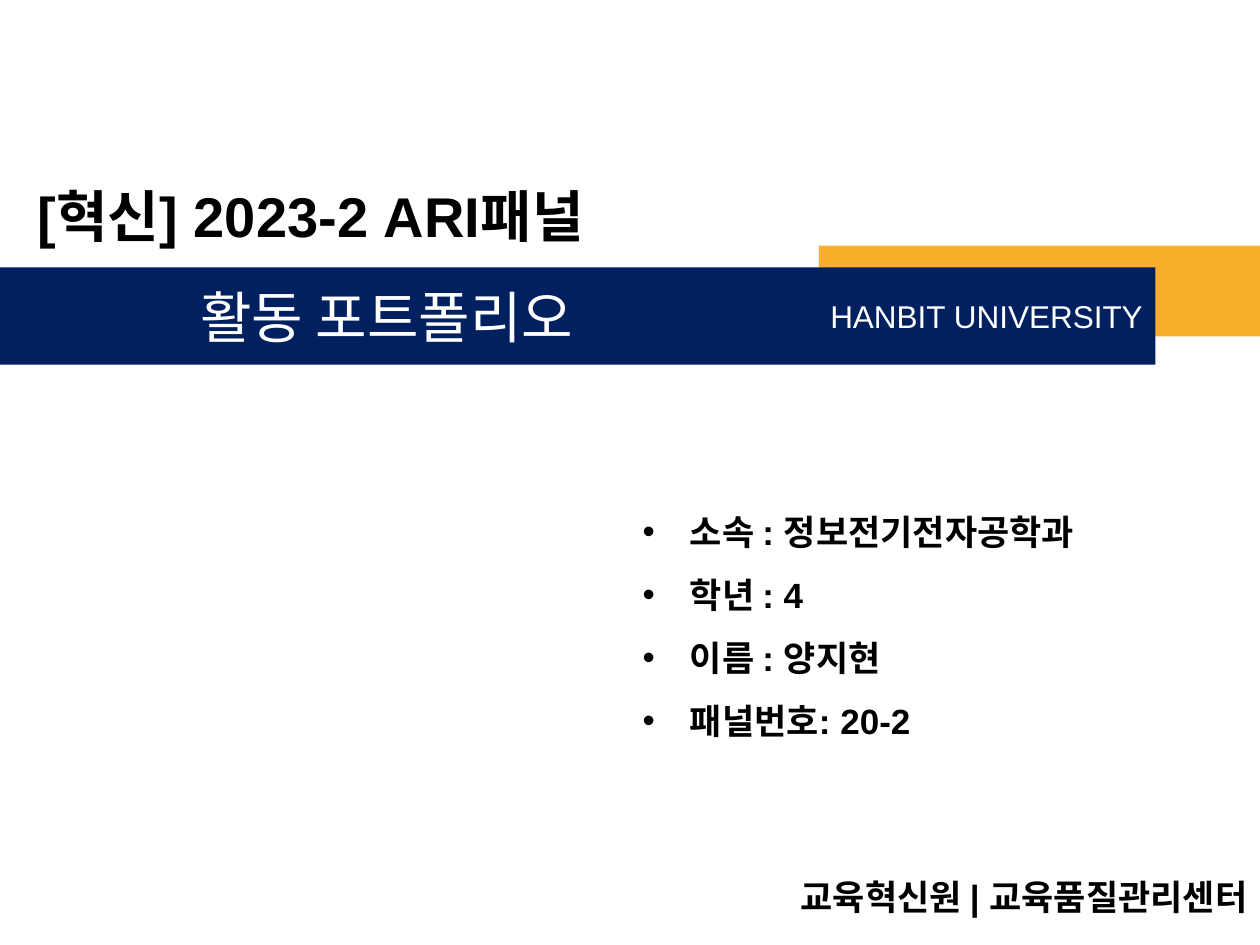
from dataclasses import dataclass
from pptx import Presentation
from pptx.dml.color import RGBColor
from pptx.enum.shapes import MSO_SHAPE
from pptx.enum.text import MSO_ANCHOR, MSO_AUTO_SIZE, PP_ALIGN
from pptx.util import Inches, Pt

HEAD = "[혁신] 2023-2 ARI패널"
NAME = "활동 포트폴리오"
SCHOOL = "HANBIT UNIVERSITY"
FACTS = [
    ("소속 : ", "정보전기전자공학과"),
    ("학년 : ", "4"),
    ("이름 : ", "양지현"),
    ("패널번호: ", "20-2"),
]
OFFICE = ["교육혁신원", " | ", "교육품질관리센터"]

WIDE, HIGH = 10, 7.5


@dataclass(frozen=True)
class Theme:
    font: str = "Arial"
    navy: str = "002060"
    gold: str = "F9AF2B"
    black: str = "000000"
    white: str = "FFFFFF"
    large: int = 32
    mid: int = 20
    small: int = 18


look = Theme()
AREAS = {
    "head": (0.02, 0.185, 0.622, 0.085),
    "gold": (0.65, 0.26, 0.35, 0.096),
    "band": (0, 0.283, 0.917, 0.103),
    "name": (0.149, 0.292, 0.323, 0.085),
    "facts": (0.5, 0.511, 0.477, 0.283),
    "office": (0, 0.92, 1, 0.058),
}


def area(key):
    return [Inches(part * side) for part, side in zip(AREAS[key], (WIDE, HIGH) * 2)]


def place(shape, key):
    shape.left, shape.top, shape.width, shape.height = area(key)


def write(shape, lines, size, color, bold=False, align=PP_ALIGN.LEFT,
          anchor=MSO_ANCHOR.TOP, gap=1.0):
    frame = shape.text_frame
    frame.word_wrap = True
    frame.auto_size = MSO_AUTO_SIZE.NONE
    frame.vertical_anchor = anchor
    for i, line in enumerate(lines):
        para = frame.add_paragraph() if i else frame.paragraphs[0]
        para.alignment = align
        para.line_spacing = gap
        para.space_before = Pt(0)
        for text in line:
            run = para.add_run()
            run.text = text
            run.font.name = look.font
            run.font.size = Pt(size)
            run.font.bold = bold
            run.font.color.rgb = RGBColor.from_string(color)


def bar(slide, key, color):
    shape = slide.shapes.add_shape(MSO_SHAPE.RECTANGLE, *area(key))
    shape.shadow.inherit = False
    shape.fill.solid()
    shape.fill.fore_color.rgb = RGBColor.from_string(color)
    shape.line.fill.background()
    return shape


def main():
    deck = Presentation()
    deck.slide_width, deck.slide_height = Inches(WIDE), Inches(HIGH)
    slide = deck.slides.add_slide(deck.slide_layouts[1])
    title, body = slide.placeholders
    place(title, "head")
    place(body, "facts")
    write(title, [[HEAD]], look.large, look.black, bold=True)
    write(body, FACTS, look.mid, look.black, bold=True, gap=1.5)

    bar(slide, "gold", look.gold)
    band = bar(slide, "band", look.navy)
    write(band, [[SCHOOL]], look.small, look.white,
          align=PP_ALIGN.RIGHT, anchor=MSO_ANCHOR.MIDDLE)
    name = slide.shapes.add_textbox(*area("name"))
    write(name, [[NAME]], look.large, look.white)
    office = slide.shapes.add_textbox(*area("office"))
    write(office, [OFFICE], look.mid, look.black, bold=True, align=PP_ALIGN.RIGHT)
    deck.save("out.pptx")


if __name__ == "__main__":
    main()
